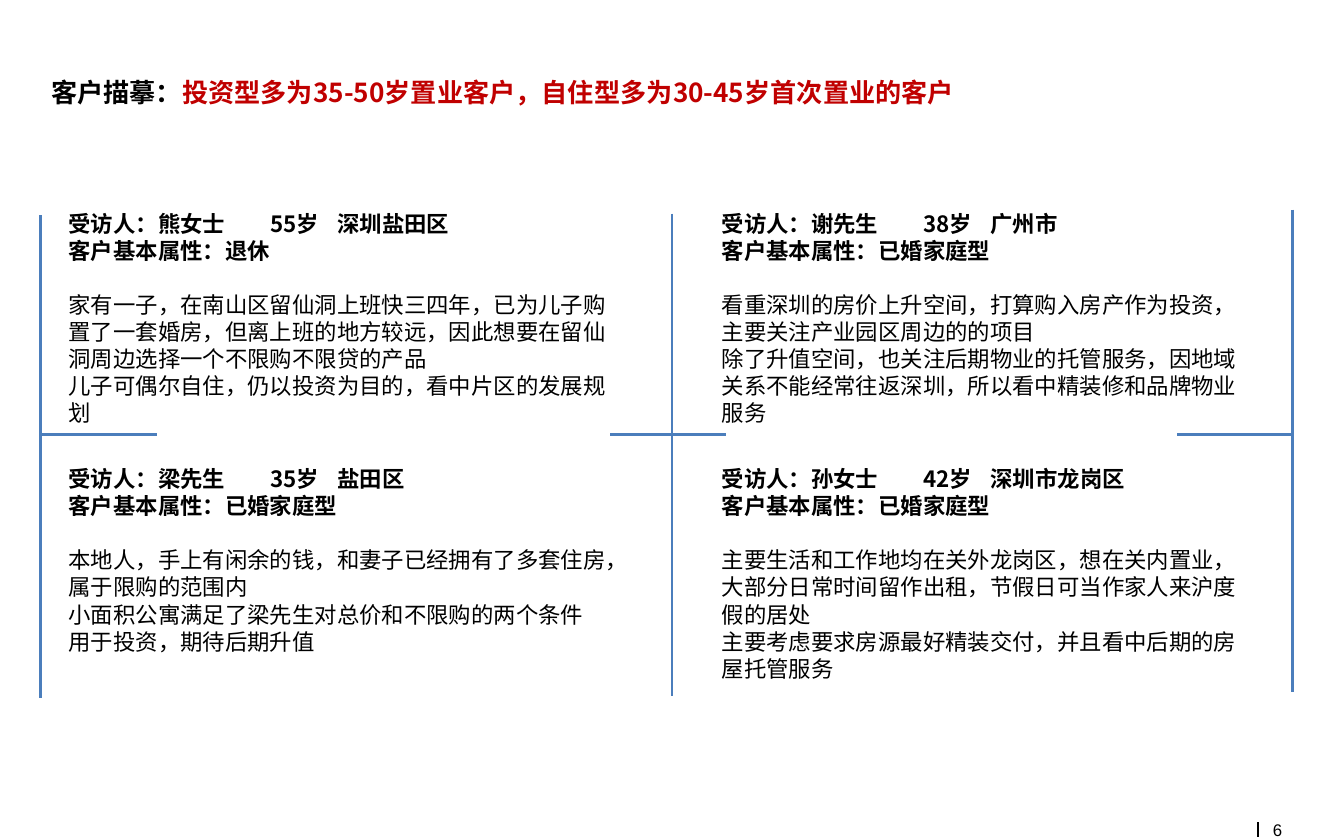
"""Build the slide of four interviewed-customer profiles."""
from lxml import etree
from pptx import Presentation, util as u
from pptx.dml.color import RGBColor
from pptx.enum import shapes, text
from pptx.oxml import ns

COLORS = {"ink": "000000", "accent": "C00000", "rule": "4B7EBC"}
FONT = "Noto Sans CJK SC"
TAB_STOPS = (1.28, 1.8)

PROFILES = [
    (0.41, 1.51, 4.35, 1.72, ("受访人：熊女士", "55岁", "深圳盐田区"), "退休",
     ["家有一子，在南山区留仙洞上班快三四年，已为儿子购置了一套婚房，但离上班的地方较远，因此想要在留仙洞周边选择一个不限购不限贷的产品",
      "儿子可偶尔自住，仍以投资为目的，看中片区的发展规划"]),
    (5.27, 1.51, 4.11, 1.72, ("受访人：谢先生", "38岁", "广州市"), "已婚家庭型",
     ["看重深圳的房价上升空间，打算购入房产作为投资，主要关注产业园区周边的的项目",
      "除了升值空间，也关注后期物业的托管服务，因地域关系不能经常往返深圳，所以看中精装修和品牌物业服务"]),
    (0.41, 3.41, 4.32, 1.51, ("受访人：梁先生", "35岁", "盐田区"), "已婚家庭型",
     ["本地人，手上有闲余的钱，和妻子已经拥有了多套住房，属于限购的范围内",
      "小面积公寓满足了梁先生对总价和不限购的两个条件",
      "用于投资，期待后期升值"]),
    (5.27, 3.41, 4.1, 1.92, ("受访人：孙女士", "42岁", "深圳市龙岗区"), "已婚家庭型",
     ["主要生活和工作地均在关外龙岗区，想在关内置业，大部分日常时间留作出租，节假日可当作家人来沪度假的居处",
      "主要考虑要求房源最好精装交付，并且看中后期的房屋托管服务"]),
]

VERTICALS = [(5, 1.59, 5.18), (0.3, 1.6, 5.19), (9.62, 1.56, 5.15)]
HORIZONTALS = [(0.31, 1.17), (4.54, 5.4), (8.76, 9.61)]


def place(box, left, top, width, height):
    """Set the position and size of a box, and anchor its text at the top."""
    box.left, box.top = u.Inches(left), u.Inches(top)
    box.width, box.height = u.Inches(width), u.Inches(height)
    frame = box.text_frame
    frame.word_wrap = True
    frame.auto_size = text.MSO_AUTO_SIZE.NONE
    frame.vertical_anchor = text.MSO_ANCHOR.TOP
    frame.margin_left = frame.margin_right = u.Inches(0.1)
    frame.margin_top = frame.margin_bottom = u.Inches(0.05)


def add_span(para, words, size, color="ink", bold=False, font=FONT):
    """Append one formatted run to a paragraph."""
    span = para.add_run()
    span.text = words
    span.font.size = u.Pt(size)
    span.font.bold = bold
    span.font.name = font
    span.font.color.rgb = RGBColor.from_string(COLORS[color])
    east_asian = etree.SubElement(span._r.get_or_add_rPr(), ns.qn("a:ea"))
    east_asian.set("typeface", font)


def format_para(para, spacing, before=0):
    """Left-align a paragraph with a fixed line height."""
    para.alignment = text.PP_ALIGN.LEFT
    para.line_spacing = u.Pt(spacing)
    para.space_before, para.space_after = u.Pt(before), u.Pt(0)


def clear_bullet(para):
    """Remove the bullet and indent, and set the tab stops."""
    props = para._p.get_or_add_pPr()
    props.set("marL", "0")
    props.set("indent", "0")
    etree.SubElement(props, ns.qn("a:buNone"))
    stops = etree.SubElement(props, ns.qn("a:tabLst"))
    for position in TAB_STOPS:
        stop = etree.SubElement(stops, ns.qn("a:tab"))
        stop.set("pos", str(u.Inches(position)))
        stop.set("algn", "l")


def add_title(page):
    """Fill the title placeholder with its two-colour heading."""
    box = page.shapes.title
    place(box, 0.28, 0.52, 7.04, 0.6)
    para = box.text_frame.paragraphs[0]
    format_para(para, 16.6)
    add_span(para, "客户描摹：", 14, bold=True)
    add_span(para, "投资型多为35-50岁置业客户，自住型多为30-45岁首次置业的客户",
             14, "accent", True)


def add_profile(box, left, top, width, height, person, status, notes):
    """Fill a body placeholder with one customer's profile."""
    place(box, left, top, width, height)
    heads = ["\t".join(person), "客户基本属性：" + status]
    for index, words in enumerate(heads + notes):
        frame = box.text_frame
        para = frame.add_paragraph() if index else frame.paragraphs[0]
        format_para(para, 14.5, 14.5 if index == len(heads) else 0)
        clear_bullet(para)
        add_span(para, words, 12, bold=index < len(heads))


def add_line(page, x1, y1, x2, y2, color="rule", width=1.5):
    """Draw a straight line without a shadow."""
    line = page.shapes.add_connector(
        shapes.MSO_CONNECTOR.STRAIGHT, *map(u.Inches, (x1, y1, x2, y2)))
    line.line.color.rgb = RGBColor.from_string(COLORS[color])
    line.line.width = u.Pt(width)
    etree.SubElement(line._element.spPr, ns.qn("a:effectLst"))


def add_page_number(page, number):
    """Add the page number and the small bar before it."""
    add_line(page, 9.36, 6.12, 9.36, 6.23, "ink", 0.75)
    box = page.shapes.add_textbox(*map(u.Inches, (9.47, 6.1, 0.15, 0.15)))
    frame = box.text_frame
    frame.margin_left = frame.margin_right = 0
    frame.margin_top = frame.margin_bottom = 0
    add_span(frame.paragraphs[0], number, 9, font="Arial")


def main():
    """Assemble and save the deck."""
    deck = Presentation()
    deck.slide_width, deck.slide_height = u.Inches(10), u.Inches(6.25)
    page = deck.slides.add_slide(deck.slide_layouts.get_by_name("Comparison"))
    add_title(page)
    bodies = [box for box in page.placeholders if box.placeholder_format.idx]
    for box, profile in zip(bodies, PROFILES):
        add_profile(box, *profile)
    for x, top, bottom in VERTICALS:
        add_line(page, x, top, x, bottom)
    for left, right in HORIZONTALS:
        add_line(page, left, 3.23, right, 3.23)
    add_page_number(page, "6")
    deck.save("out.pptx")


if __name__ == "__main__":
    main()
